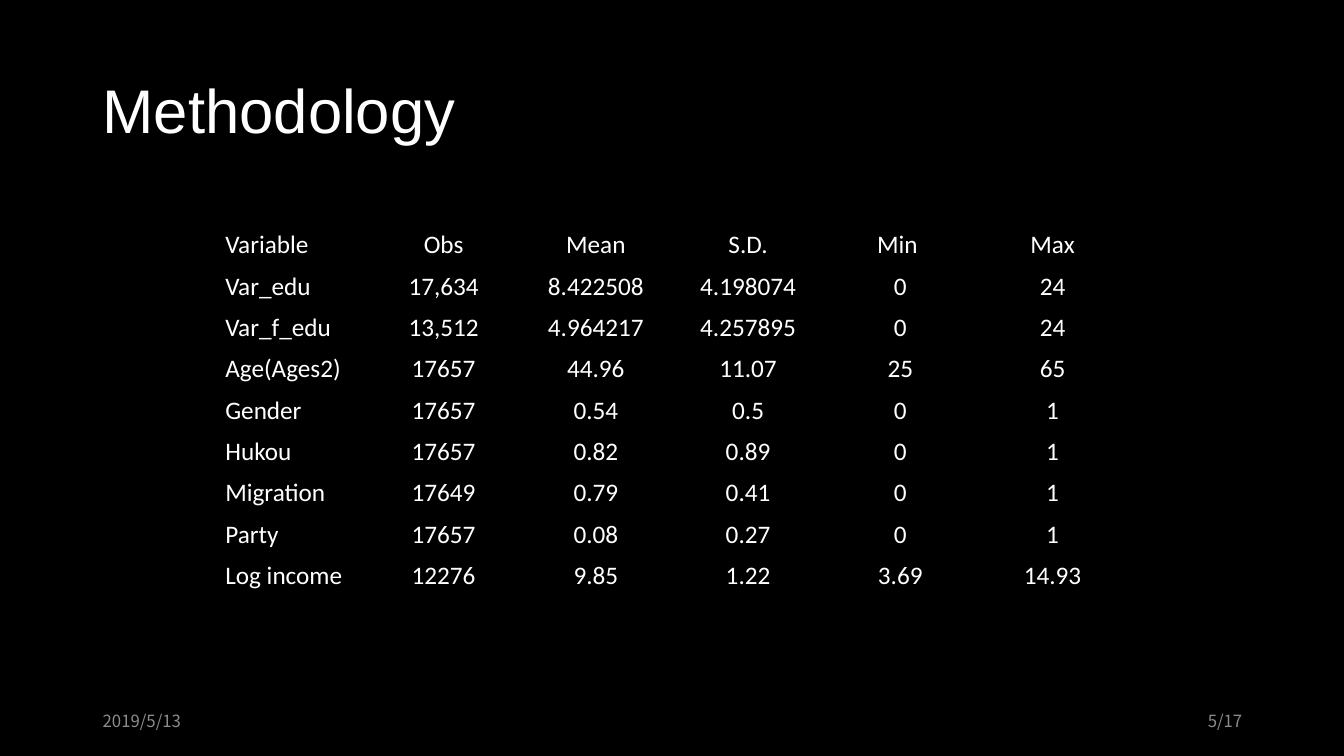
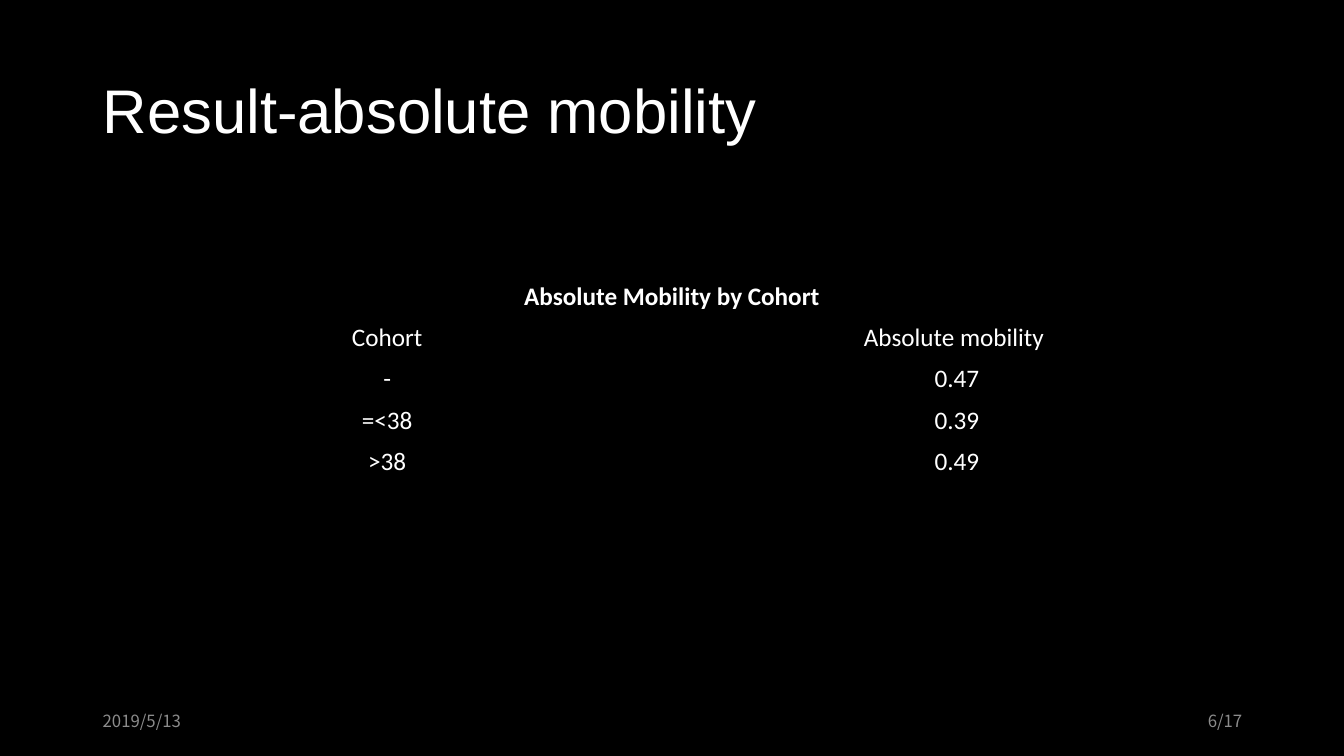
from dataclasses import dataclass

from pptx import Presentation
from pptx.dml.color import RGBColor
from pptx.enum.text import MSO_ANCHOR, PP_ALIGN
from pptx.oxml.ns import qn
from pptx.util import Inches, Pt


@dataclass(frozen=True)
class Theme:
    background: str = "000000"
    text: str = "FFFFFF"
    muted: str = "8C8C8C"
    title_font: str = "Arial"
    table_font: str = "Calibri"
    footer_font: str = "Noto Sans CJK SC"
    title_size: int = 44
    table_size: int = 18
    footer_size: int = 12
    plain_table_style: str = "{2D5ABB26-0587-4C30-8999-92F81FD0307C}"


THEME = Theme()
SLIDE_WIDTH, SLIDE_HEIGHT = 13.33, 7.5
MARGIN = 0.92
CONTENT_WIDTH = 11.5
FOOTER_TOP, FOOTER_WIDTH, FOOTER_HEIGHT = 6.95, 3, 0.4
ROW_HEIGHT = 0.41
DATE = "2019/5/13"
FIRST_PAGE, PAGE_COUNT = 5, 17

SLIDES = [
    {
        "title": "Methodology",
        "top": 2.23,
        "column_width": 1.51,
        "left_columns": 1,
        "heading": None,
        "rows": [
            ("Variable", "Obs", "Mean", "S.D.", "Min ", "Max"),
            ("Var_edu", "17,634", "8.422508", "4.198074", "0", "24"),
            ("Var_f_edu", "13,512", "4.964217", "4.257895", "0", "24"),
            ("Age(Ages2)", "17657", "44.96", "11.07", "25", "65"),
            ("Gender", "17657", "0.54", "0.5", "0", "1"),
            ("Hukou", "17657", "0.82", "0.89", "0", "1"),
            ("Migration", "17649", "0.79", "0.41", "0", "1"),
            ("Party", "17657", "0.08", "0.27", "0", "1"),
            ("Log income", "12276", "9.85", "1.22", "3.69", "14.93"),
        ],
    },
    {
        "title": "Result-absolute mobility",
        "top": 2.74,
        "column_width": 5.65,
        "left_columns": 0,
        "heading": "Absolute Mobility by Cohort",
        "rows": [
            ("Cohort", "Absolute mobility "),
            ("-", "0.47"),
            ("=<38", "0.39"),
            (">38", "0.49"),
        ],
    },
]


def write_text(frame, text, *, font, size, color=THEME.text, bold=False,
               align=PP_ALIGN.LEFT, line_spacing=None):
    paragraph = frame.paragraphs[0]
    paragraph.alignment = align
    paragraph.line_spacing = line_spacing
    run = paragraph.add_run()
    run.text = text
    run.font.name = font
    run.font.size = Pt(size)
    run.font.bold = bold
    run.font.color.rgb = RGBColor.from_string(color)
    properties = run.font._element
    east_asian = properties.makeelement(qn("a:ea"), {"typeface": font})
    properties.find(qn("a:latin")).addnext(east_asian)


def add_text_box(slide, text, left, top, width, height, **text_format):
    box = slide.shapes.add_textbox(*map(Inches, (left, top, width, height)))
    frame = box.text_frame
    frame.word_wrap = True
    frame.vertical_anchor = MSO_ANCHOR.MIDDLE
    write_text(frame, text, **text_format)


def add_title_and_footer(slide, title, page):
    add_text_box(slide, title, MARGIN, 0.4, CONTENT_WIDTH, 1.45,
                 font=THEME.title_font, size=THEME.title_size, line_spacing=0.9)
    page_left = MARGIN + CONTENT_WIDTH - FOOTER_WIDTH
    for text, left, align in (
        (DATE, MARGIN, PP_ALIGN.LEFT),
        (f"{page}/{PAGE_COUNT}", page_left, PP_ALIGN.RIGHT),
    ):
        add_text_box(slide, text, left, FOOTER_TOP, FOOTER_WIDTH, FOOTER_HEIGHT,
                     font=THEME.footer_font, size=THEME.footer_size,
                     color=THEME.muted, align=align)


def add_centered_table(slide, content):
    rows = content["rows"]
    heading_rows = 1 if content["heading"] else 0
    row_count = len(rows) + heading_rows
    column_count = len(rows[0])
    width = column_count * content["column_width"]
    shape = slide.shapes.add_table(
        row_count, column_count,
        Inches((SLIDE_WIDTH - width) / 2), Inches(content["top"]),
        Inches(width), Inches(row_count * ROW_HEIGHT))
    table = shape.table
    table.first_row = False
    table.horz_banding = False
    style = next(table._tbl.iter(qn("a:tableStyleId")))
    style.text = THEME.plain_table_style
    for cell in table.iter_cells():
        cell.fill.background()
    if heading_rows:
        table.cell(0, 0).merge(table.cell(0, column_count - 1))
        write_text(table.cell(0, 0).text_frame, content["heading"],
                   font=THEME.table_font, size=THEME.table_size,
                   bold=True, align=PP_ALIGN.CENTER)
    for row_index, row in enumerate(rows, heading_rows):
        for column_index, value in enumerate(row):
            is_left = column_index < content["left_columns"]
            write_text(table.cell(row_index, column_index).text_frame, value,
                       font=THEME.table_font, size=THEME.table_size,
                       align=PP_ALIGN.LEFT if is_left else PP_ALIGN.CENTER)


def main():
    presentation = Presentation()
    presentation.slide_width = Inches(SLIDE_WIDTH)
    presentation.slide_height = Inches(SLIDE_HEIGHT)
    background = presentation.slide_master.background.fill
    background.solid()
    background.fore_color.rgb = RGBColor.from_string(THEME.background)
    blank_layout = presentation.slide_layouts[6]
    for page, content in enumerate(SLIDES, FIRST_PAGE):
        slide = presentation.slides.add_slide(blank_layout)
        add_title_and_footer(slide, content["title"], page)
        add_centered_table(slide, content)
    presentation.save("out.pptx")


if __name__ == "__main__":
    main()
